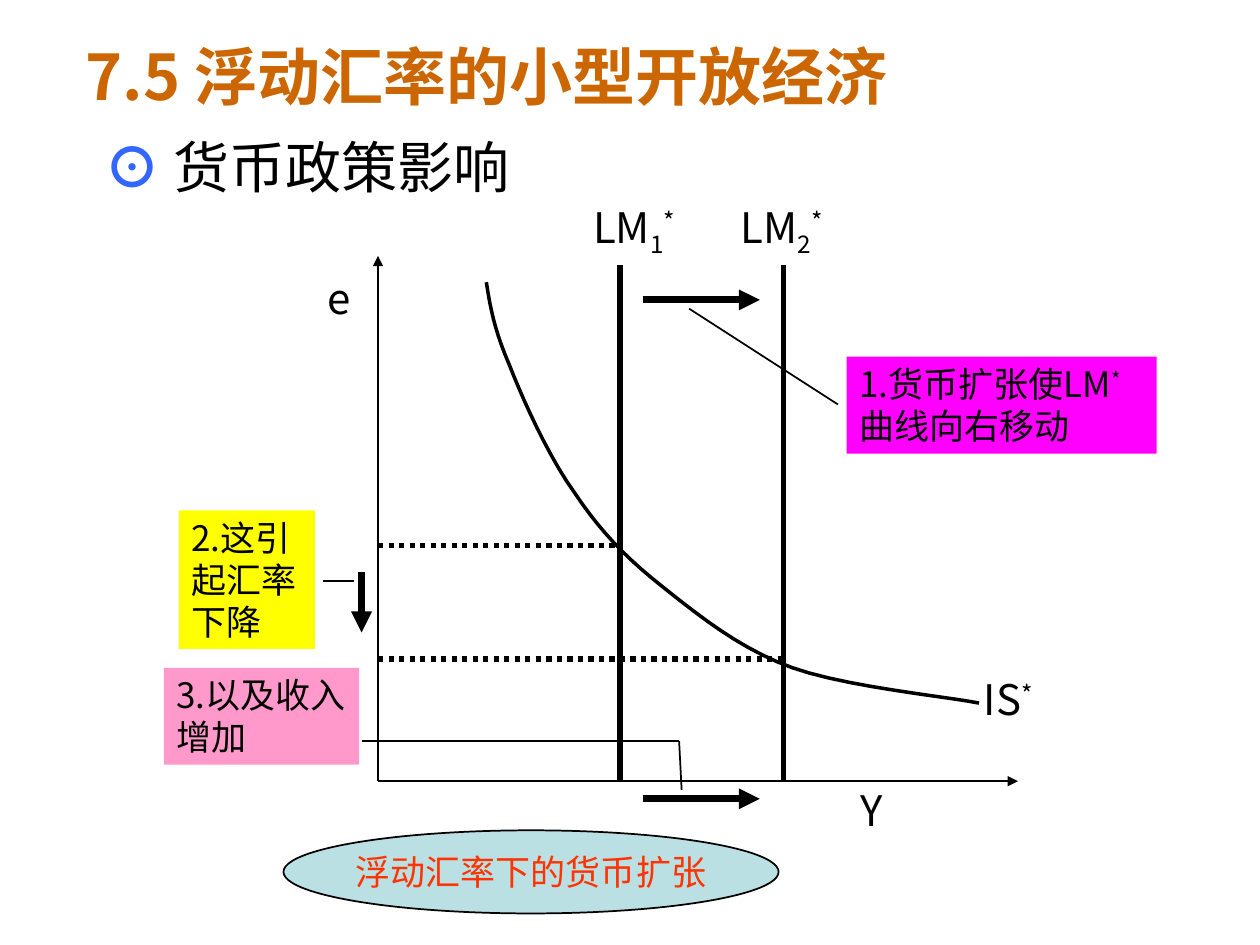
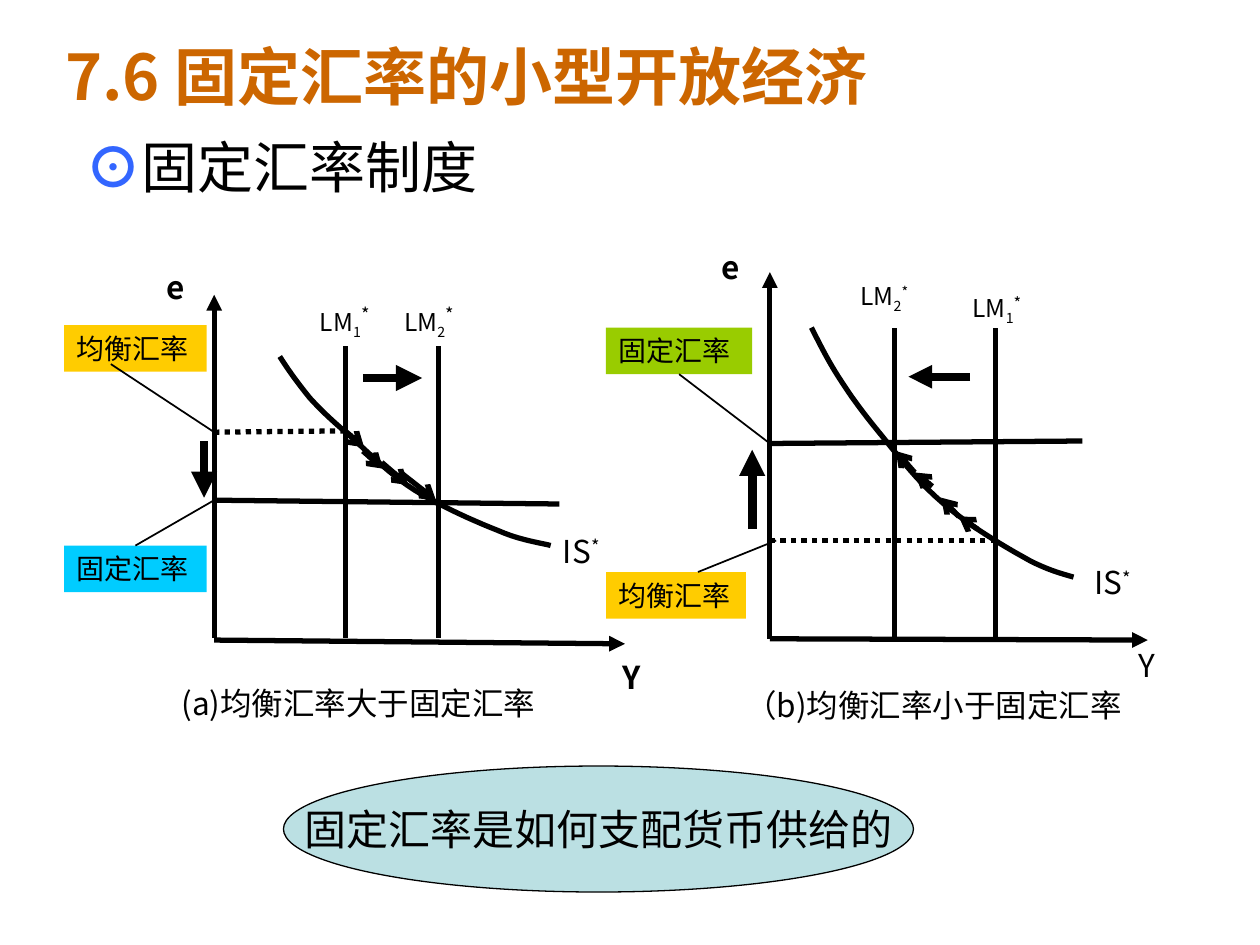
"""Build two slides on monetary policy in a small open economy."""
from dataclasses import dataclass
from typing import Optional

from lxml.etree import SubElement
from pptx import Presentation
from pptx.dml.color import RGBColor
from pptx.enum.dml import MSO_LINE
from pptx.enum.shapes import MSO_CONNECTOR, MSO_SHAPE
from pptx.enum.text import MSO_ANCHOR, PP_ALIGN
from pptx.oxml.ns import qn
from pptx.util import Inches, Pt

FONT = "Noto Sans CJK SC"
BLACK = RGBColor(0x00, 0x00, 0x00)
ORANGE = RGBColor(0xCC, 0x66, 0x00)
BLUE = RGBColor(0x33, 0x66, 0xFF)
RED = RGBColor(0xFF, 0x33, 0x00)
TEAL = RGBColor(0xBB, 0xE0, 0xE3)
YELLOW = RGBColor(0xFF, 0xFF, 0x00)
PINK = RGBColor(0xFF, 0x99, 0xCC)
MAGENTA = RGBColor(0xFF, 0x00, 0xFF)
GOLD = RGBColor(0xFF, 0xCC, 0x00)
CYAN = RGBColor(0x00, 0xCC, 0xFF)
GREEN = RGBColor(0x99, 0xCC, 0x00)
SUB, SUPER = -25000, 30000
TOP, BOTTOM = 0, 2


@dataclass
class Run:
    """A piece of text; unset size and colour come from its box."""
    text: str
    base: int = 0
    size: Optional[float] = None
    color: Optional[RGBColor] = None
    bold: bool = False


@dataclass
class Box:
    """A text box, or a rectangle or ellipse holding text."""
    x: float
    y: float
    w: float
    h: float
    runs: list[Run]
    size: float
    kind: Optional[MSO_SHAPE] = None
    fill: Optional[RGBColor] = None
    border: float = 0
    font: str = FONT


@dataclass
class Line:
    """A straight line, optionally dotted, with an arrowhead or joined to a box."""
    x1: float
    y1: float
    x2: float
    y2: float
    width: float = 3
    tail: str = ""
    dotted: bool = False
    box: Optional[Box] = None
    site: int = TOP


@dataclass
class Curve:
    """A chain of cubic Bezier segments: a start and three points for each."""
    width: float
    points: list[tuple[float, float]]


def words(text: str, color: RGBColor = BLACK, bold: bool = False) -> list[Run]:
    """Return text as a single run."""
    return [Run(text, color=color, bold=bold)]


def starred(name: str, index: str = "", star_size: Optional[float] = None) -> list[Run]:
    """Return a curve name with optional subscript and a raised star."""
    sub = [Run(index, SUB)] if index else []
    return [Run(name), *sub, Run("*", SUPER, star_size)]


def note(x: float, y: float, w: float, h: float, runs: list[Run],
         fill: RGBColor, size: float = 20) -> Box:
    """Return a coloured rectangular note."""
    return Box(x, y, w, h, runs, size, MSO_SHAPE.RECTANGLE, fill)


def rate(x: float, y: float, w: float, text: str, fill: RGBColor) -> Box:
    """Return a label naming an exchange rate."""
    return note(x, y, w, 0.37, words(text), fill, 16)


def oval(x: float, y: float, w: float, h: float, runs: list[Run], size: float,
         fill: Optional[RGBColor] = None, border: float = 0, font: str = FONT) -> Box:
    """Return an ellipse with centred text."""
    return Box(x, y, w, h, runs, size, MSO_SHAPE.OVAL, fill, border, font)


def draw_box(s, box: Box):
    """Draw a box with its text and return its shape."""
    place = [Inches(v) for v in (box.x, box.y, box.w, box.h)]
    if box.kind is None:
        sp = s.shapes.add_textbox(*place)
    else:
        sp = s.shapes.add_shape(box.kind, *place)
        sp.shadow.inherit = False
        if box.fill is None:
            sp.fill.background()
        else:
            sp.fill.solid()
            sp.fill.fore_color.rgb = box.fill
        if box.border:
            sp.line.color.rgb = BLACK
            sp.line.width = Pt(box.border)
        else:
            sp.line.fill.background()
    is_oval = box.kind == MSO_SHAPE.OVAL
    tf = sp.text_frame
    tf.word_wrap = not is_oval
    tf.vertical_anchor = MSO_ANCHOR.MIDDLE if is_oval else MSO_ANCHOR.TOP
    p = tf.paragraphs[0]
    p.alignment = PP_ALIGN.CENTER if is_oval else PP_ALIGN.LEFT
    for run in box.runs:
        r = p.add_run()
        r.text = run.text
        r.font.size = Pt(run.size or box.size)
        r.font.bold = run.bold
        r.font.color.rgb = run.color or BLACK
        r.font.name = box.font
        rpr = r.font._element
        SubElement(rpr, qn("a:ea")).set("typeface", FONT)
        if run.base:
            rpr.set("baseline", str(run.base))
    return sp


def draw_line(s, line: Line, target=None) -> None:
    """Draw a line, starting at a side of the target shape if there is one."""
    ends = [Inches(v) for v in (line.x1, line.y1, line.x2, line.y2)]
    c = s.shapes.add_connector(MSO_CONNECTOR.STRAIGHT, *ends)
    if target is not None:
        c.begin_connect(target, line.site)
    c.line.color.rgb = BLACK
    c.line.width = Pt(line.width)
    if line.dotted:
        c.line.dash_style = MSO_LINE.ROUND_DOT
    if line.tail:
        SubElement(c.line._get_or_add_ln(), qn("a:tailEnd")).set("type", line.tail)
    SubElement(c._element.spPr, qn("a:effectLst"))


def bezier(p0, p1, p2, p3, steps: int = 10) -> list[tuple[int, int]]:
    """Return points along one cubic segment, after its start."""
    result = []
    for i in range(1, steps + 1):
        t = i / steps
        u = 1 - t
        weights = (u ** 3, 3 * u * u * t, 3 * u * t * t, t ** 3)
        x, y = (sum(w * v for w, v in zip(weights, axis)) for axis in zip(p0, p1, p2, p3))
        result.append((Inches(x), Inches(y)))
    return result


def draw_curve(s, curve: Curve) -> None:
    """Draw a smooth open curve."""
    pts = curve.points
    builder = s.shapes.build_freeform(Inches(pts[0][0]), Inches(pts[0][1]))
    for i in range(0, len(pts) - 1, 3):
        builder.add_line_segments(bezier(*pts[i:i + 4]), close=False)
    sp = builder.convert_to_shape()
    sp.shadow.inherit = False
    sp.fill.background()
    sp.line.color.rgb = BLACK
    sp.line.width = Pt(curve.width)


def draw_slide(prs, boxes: list[Box], curves: list[Curve], lines: list[Line]) -> None:
    """Add a blank slide and draw boxes, curves and lines on it."""
    s = prs.slides.add_slide(prs.slide_layouts[6])
    shapes = [draw_box(s, box) for box in boxes]
    for curve in curves:
        draw_curve(s, curve)
    for line in lines:
        target = next((sp for box, sp in zip(boxes, shapes) if box is line.box), None)
        draw_line(s, line, target)


def heading(x: float, title: str, topic_x: float, mark: str, topic: str) -> list[Box]:
    """Return the title and the marked topic under it."""
    return [
        Box(x, 0.25, 8.5, 0.7, words(title, ORANGE, True), 36),
        Box(topic_x, 1, 8.75, 0.65, [Run(mark, color=BLUE, bold=True), Run(topic)], 32),
    ]


def floating_slide(prs) -> None:
    """Draw monetary expansion under a floating rate."""
    origin_x, base_y, lm1, lm2 = 3, 6.2, 4.92, 6.22
    boxes = heading(0.58, "7.5 浮动汇率的小型开放经济", 0.73, "⊙ ", "货币政策影响") + [
        Box(2.5, 2.11, 0.74, 0.5, words("e"), 24),
        Box(6.73, 6.18, 2.36, 0.5, words("Y"), 24),
        Box(4.61, 1.55, 0.93, 0.56, starred("LM", "1"), 24),
        Box(5.78, 1.55, 0.93, 0.56, starred("LM", "2"), 24),
        Box(7.71, 5.3, 0.69, 0.9, starred("IS"), 24),
        note(6.72, 2.83, 2.46, 0.77, starred("1.货币扩张使LM") + words("曲线向右移动"), MAGENTA),
        note(1.42, 4.05, 1.08, 1.1, words("2.这引起汇率下降"), YELLOW),
        note(1.3, 5.3, 1.55, 0.77, words("3.以及收入增加"), PINK),
        oval(2.25, 6.59, 3.93, 0.66, words("浮动汇率下的货币扩张", RED), 20, TEAL, 1),
    ]
    is_curve = Curve(2, [
        (3.86, 2.24), (3.89, 2.43), (3.92, 2.61), (4.04, 2.89),
        (4.15, 3.17), (4.35, 3.62), (4.56, 3.91), (4.76, 4.21), (4.96, 4.42), (5.25, 4.65),
        (5.54, 4.88), (5.87, 5.15), (6.29, 5.3), (6.71, 5.45), (7.52, 5.53), (7.77, 5.58)])
    axes = [Line(origin_x, base_y, x, y, 1, "triangle") for x, y in ((3, 2.03), (8.08, 6.2))]
    lm_lines = [Line(x, base_y, x, 2.1) for x in (lm1, lm2)]
    rates = [Line(origin_x, y, x, y, dotted=True) for x, y in ((lm1, 4.33), (lm2, 5.23))]
    shifts = [Line(5.1, y, 6.03, y, 4, "triangle") for y in (2.38, 6.34)]
    shifts.append(Line(2.87, 4.54, 2.87, 5.02, 4, "triangle"))
    leaders = [
        Line(6.65, 3.21, 5.47, 2.45, 1),
        Line(2.56, 4.61, 2.81, 4.61, 1),
        Line(5.39, 5.88, 5.41, 6.27, 1),
        Line(5.39, 5.88, 2.87, 5.88, 0.75),
    ]
    draw_slide(prs, boxes, [is_curve], axes + lm_lines + rates + shifts + leaders)


def fixed_slide(prs) -> None:
    """Draw how a fixed rate governs the money supply."""
    fixed_a = rate(0.51, 4.33, 1.13, "固定汇率", CYAN)
    fixed_b = rate(4.81, 2.6, 1.16, "固定汇率", GREEN)
    boxes = heading(0.42, "7.6 固定汇率的小型开放经济", 0.58, "⊙", "固定汇率制度") + [
        Box(1.22, 2.08, 0.45, 0.4, words("e", bold=True), 18),
        Box(4.84, 5.17, 0.88, 0.4, words("Y", bold=True), 18),
        Box(4.37, 4.17, 0.57, 0.7, starred("IS"), 18),
        Box(2.44, 2.33, 0.67, 0.42, starred("LM", "1", 18), 14),
        Box(3.11, 2.33, 0.67, 0.42, starred("LM", "2", 18), 14),
        rate(0.51, 2.58, 1.13, "均衡汇率", GOLD),
        fixed_a,
        oval(1.62, 5.33, 2.45, 0.5, words("(a)均衡汇率大于固定汇率"), 18),
        Box(5.63, 1.92, 0.54, 0.4, words("e", bold=True), 18),
        Box(8.94, 5.08, 0.63, 0.4, words("Y"), 18),
        Box(8.59, 4.42, 0.52, 0.7, starred("IS"), 18),
        Box(6.73, 2.18, 0.69, 0.37, starred("LM", "2"), 14),
        Box(7.62, 2.25, 0.77, 0.4, starred("LM", "1", 16), 14),
        rate(4.81, 4.54, 1.11, "均衡汇率", GOLD),
        fixed_b,
        oval(6.29, 5.33, 2.24, 0.53, words("（b)均衡汇率小于固定汇率"), 18),
        oval(2.25, 6.08, 5, 1, words("固定汇率是如何支配货币供给的"), 24, TEAL, 0.75, "Arial"),
    ]
    is_curves = [
        Curve(3, [
            (2.22, 2.83), (2.29, 2.94), (2.37, 3.05), (2.46, 3.16),
            (2.56, 3.27), (2.66, 3.36), (2.8, 3.48), (2.93, 3.6), (3.1, 3.77), (3.29, 3.89),
            (3.48, 4.01), (3.77, 4.14), (3.95, 4.21), (4.13, 4.29), (4.3, 4.31), (4.37, 4.33)]),
        Curve(3, [
            (6.44, 2.6), (6.51, 2.74), (6.58, 2.88), (6.68, 3.03),
            (6.77, 3.17), (6.86, 3.29), (7, 3.46), (7.13, 3.62), (7.29, 3.83), (7.48, 3.99),
            (7.66, 4.15), (7.94, 4.32), (8.12, 4.42), (8.29, 4.52), (8.45, 4.56), (8.52, 4.58)]),
    ]
    axes = [Line(*ends, tail="triangle") for ends in (
        (1.7, 5.06, 1.7, 2.34), (1.7, 5.08, 4.96, 5.11),
        (6.11, 5.07, 6.11, 2.16), (6.11, 5.07, 9.11, 5.08))]
    lm_lines = [Line(x, bottom, x, top) for x, bottom, top in (
        (2.74, 5.06, 2.75), (3.48, 5.06, 2.75), (7.1, 5.07, 2.6), (7.9, 5.07, 2.6))]
    rates = [
        Line(4.44, 4, 1.7, 3.97), Line(8.59, 3.5, 6.11, 3.52),
        Line(1.7, 3.43, 2.74, 3.42, dotted=True), Line(6.11, 4.29, 7.9, 4.29, dotted=True),
    ]
    shifts = [Line(*ends, "triangle") for ends in (
        (2.88, 3, 3.35, 3, 5), (1.62, 3.5, 1.62, 3.95, 5),
        (7.7, 2.99, 7.21, 2.99, 4.5), (5.97, 4.2, 5.97, 3.57, 5))]
    moves = [Line(*ends, tail="arrow") for ends in (
        (2.74, 3.42, 2.89, 3.55), (2.88, 3.58, 3.04, 3.72),
        (3.03, 3.67, 3.24, 3.85), (3.18, 3.75, 3.46, 3.97),
        (7.76, 4.2, 7.61, 4.1), (7.61, 4.1, 7.47, 3.95),
        (7.4, 3.86, 7.26, 3.75), (7.26, 3.75, 7.11, 3.58))]
    leaders = [
        Line(0.88, 2.89, 1.7, 3.43, 1),
        Line(1.08, 4.33, 1.7, 3.97, 1, box=fixed_a, site=TOP),
        Line(5.39, 2.97, 6.11, 3.52, 1, box=fixed_b, site=BOTTOM),
        Line(5.54, 4.54, 6.16, 4.29, 1),
    ]
    draw_slide(prs, boxes, is_curves, axes + lm_lines + rates + shifts + moves + leaders)


def main() -> None:
    """Build and save the presentation."""
    prs = Presentation()
    prs.slide_width, prs.slide_height = Inches(10), Inches(7.5)
    floating_slide(prs)
    fixed_slide(prs)
    prs.save("out.pptx")


if __name__ == "__main__":
    main()
